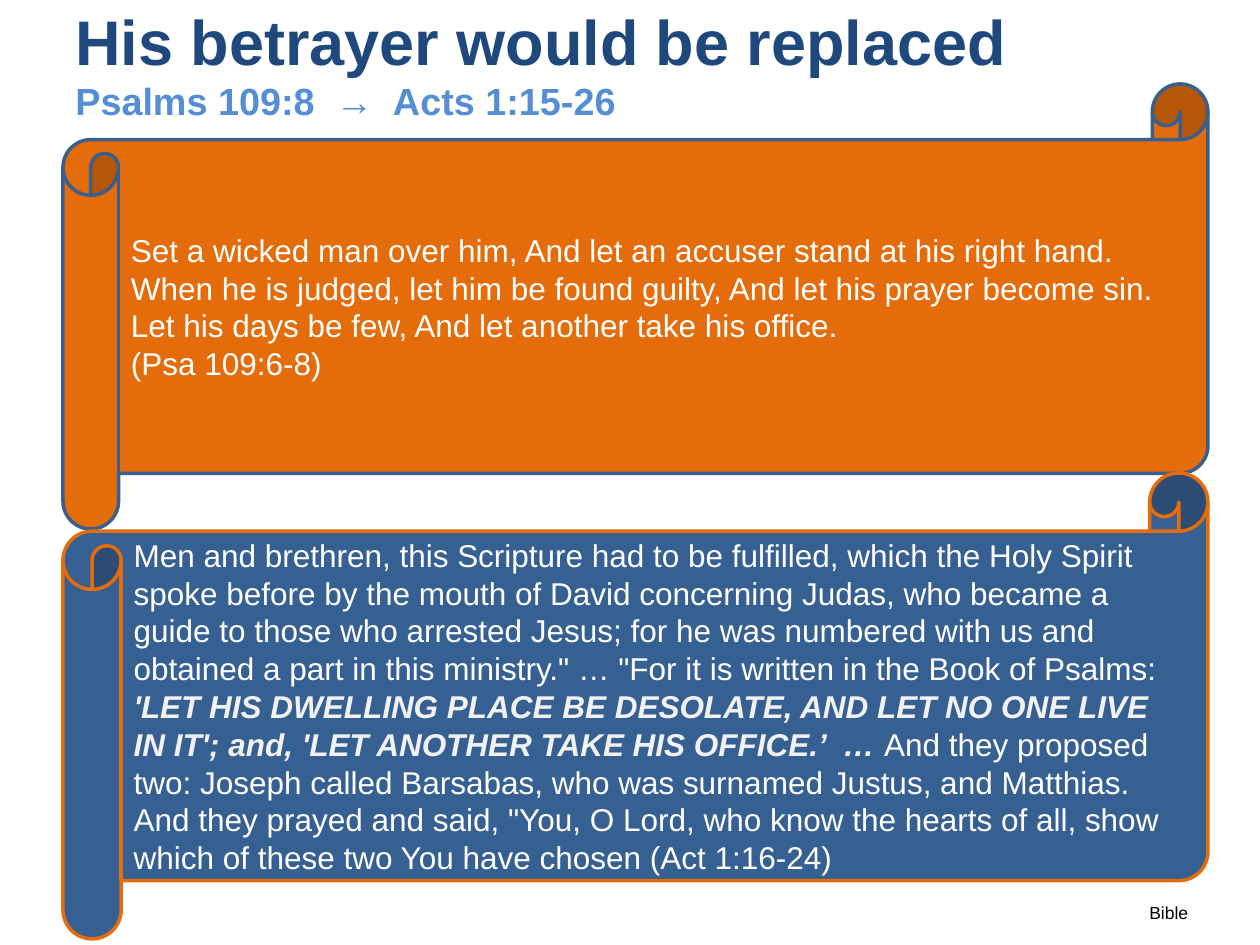
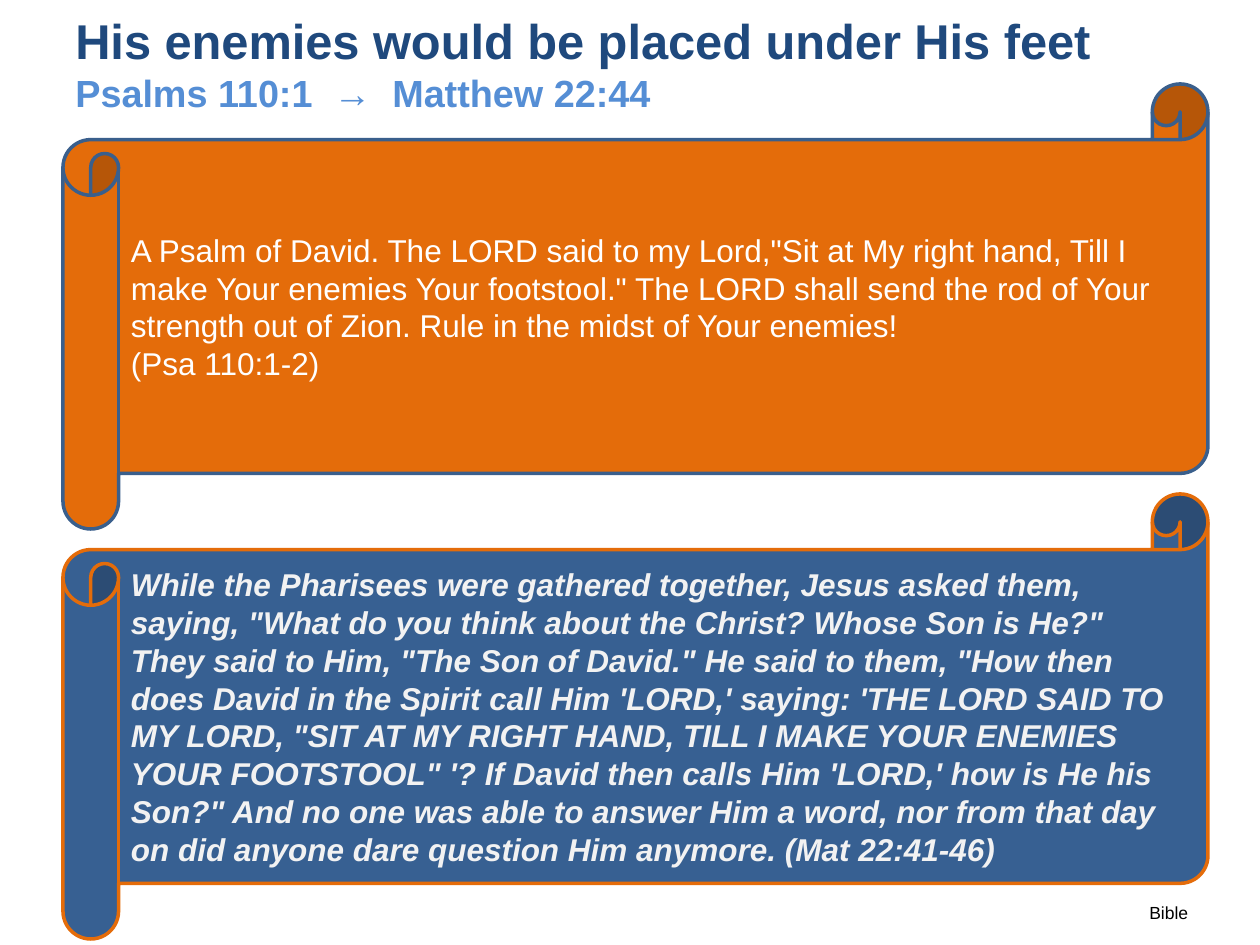
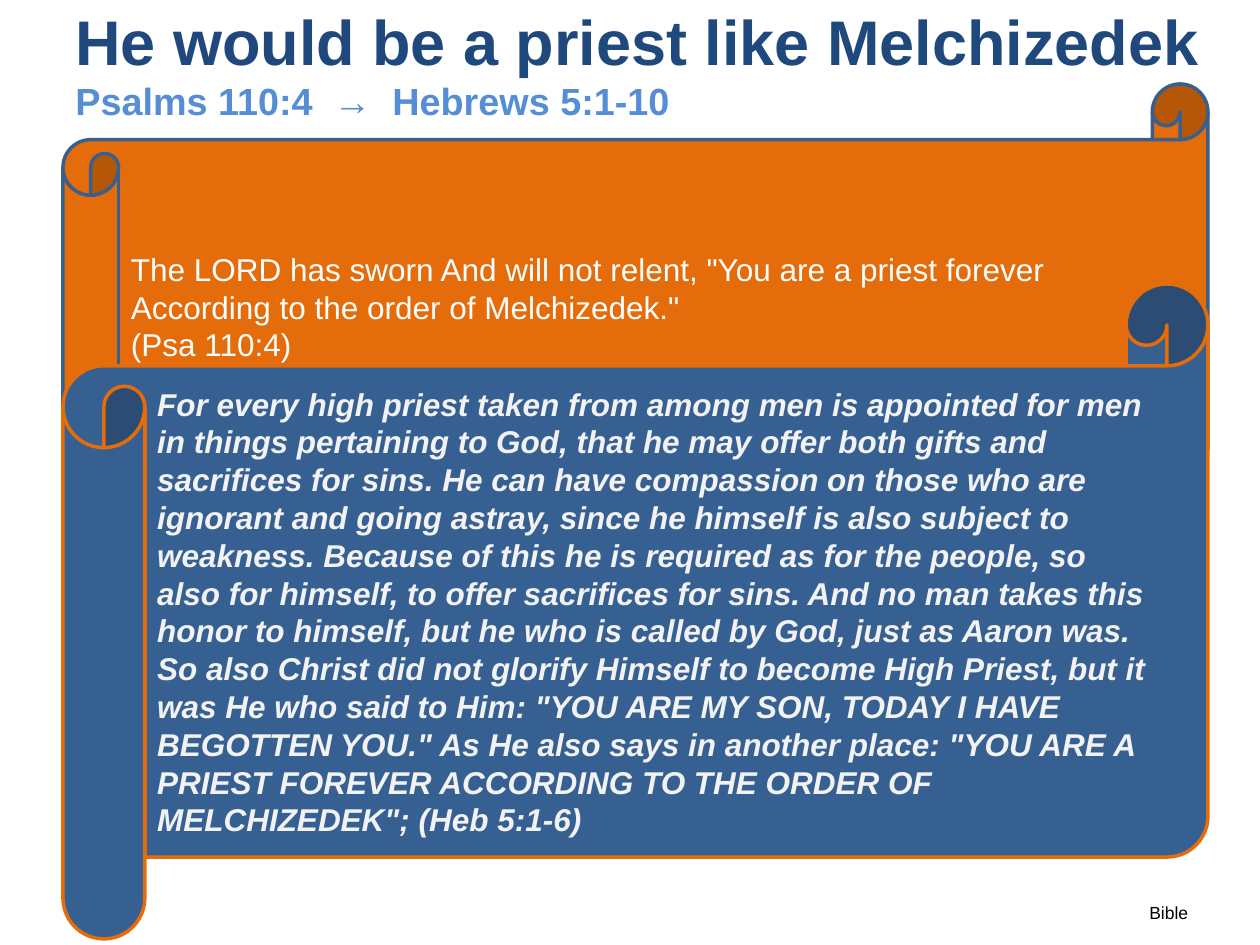
from pptx import Presentation
from pptx.dml.color import RGBColor
from pptx.enum.shapes import MSO_SHAPE
from pptx.enum.text import MSO_ANCHOR, PP_ALIGN
from pptx.util import Emu, Pt

# Shared look
NAVY, SKY, BLACK = "1F497D", "558ED5", "000000"
ORANGE, BLUE, EDGE = "E46C0A", "376092", "3A5F8C"
WHITE, PALE = "FFFFFF", "F2F2F2"
LEFT, WIDE, BASE = 63, 1145, 939


def color(code):
    return RGBColor.from_string(code)


def px(*sizes):
    return [Emu(round(size * 914400 / 126)) for size in sizes]


# Each slide: title, title size, title width, verses, Psalm text,
# top of the lower scroll, its runs as (text, stressed)
slides = [
    ("His betrayer would be replaced", 36, 1134,
     "Psalms 109:8  →  Acts 1:15-26",
     ["Set a wicked man over him, And let an accuser stand at his right hand. "
      "When he is judged, let him be found guilty, And let his prayer become sin. "
      "Let his days be few, And let another take his office.",
      "(Psa 109:6-8)"],
     473,
     [("Men and brethren, this Scripture had to be fulfilled, which the Holy "
       "Spirit spoke before by the mouth of David concerning Judas, who became a "
       "guide to those who arrested Jesus; for he was numbered with us and "
       "obtained a part in this ministry.\" … \"For it is written in the Book of "
       "Psalms: ", False),
      ("'LET HIS DWELLING PLACE BE DESOLATE, AND LET NO ONE LIVE IN IT'; and, "
       "'LET ANOTHER TAKE HIS OFFICE.’  … ", True),
      ("And they proposed two: Joseph called Barsabas, who was surnamed Justus, "
       "and Matthias. And they prayed and said, \"You, O Lord, who know the "
       "hearts of all, show which of these two You have chosen (Act 1:16-24)",
       False)]),
    ("His enemies would be placed under His feet", 27.9, 1187,
     "Psalms 110:1  →  Matthew 22:44",
     ["A Psalm of David. The LORD said to my Lord,\"Sit at My right hand, Till I "
      "make Your enemies Your footstool.\" The LORD shall send the rod of Your "
      "strength out of Zion. Rule in the midst of Your enemies!",
      "(Psa 110:1-2)"],
     494,
     [("While the Pharisees were gathered together, Jesus asked them, saying, "
       "\"What do you think about the Christ? Whose Son is He?\" They said to "
       "Him, \"The Son of David.\" He said to them, \"How then does David in the "
       "Spirit call Him 'LORD,' saying: 'THE LORD SAID TO MY LORD, \"SIT AT MY "
       "RIGHT HAND, TILL I MAKE YOUR ENEMIES YOUR FOOTSTOOL\" '? If David then "
       "calls Him 'LORD,' how is He his Son?\" And no one was able to answer Him "
       "a word, nor from that day on did anyone dare question Him anymore. "
       "(Mat 22:41-46)", True)]),
    ("He would be a priest like Melchizedek", 36, 1176,
     "Psalms 110:4  →  Hebrews 5:1-10",
     ["The LORD has sworn And will not relent, \"You are a priest forever "
      "According to the order of Melchizedek.\"",
      "(Psa 110:4)"],
     284,
     [("For every high priest taken from among men is appointed for men in things "
       "pertaining to God, that he may offer both gifts and sacrifices for sins. "
       "He can have compassion on those who are ignorant and going astray, since "
       "he himself is also subject to weakness. Because of this he is required as "
       "for the people, so also for himself, to offer sacrifices for sins. And no "
       "man takes this honor to himself, but he who is called by God, just as "
       "Aaron was. So also Christ did not glorify Himself to become High Priest, "
       "but it was He who said to Him: \"YOU ARE MY SON, TODAY I HAVE BEGOTTEN "
       "YOU.\" As He also says in another place: \"YOU ARE A PRIEST FOREVER "
       "ACCORDING TO THE ORDER OF MELCHIZEDEK\"; (Heb 5:1-6)", True)]),
]

deck = Presentation()
deck.slide_width, deck.slide_height = px(1260, 945)

for title, size, width, verses, psalm, top, quote in slides:
    slide = deck.slides.add_slide(deck.slide_layouts[6])

    # Title with the verses below it
    frame = slide.shapes.add_textbox(*px(LEFT, 0, width, 126)).text_frame
    frame.word_wrap = True
    frame.vertical_anchor = MSO_ANCHOR.MIDDLE
    para = frame.paragraphs[0]
    para.font.name, para.font.bold = "Arial", True
    for text, points, ink in [(title, size, NAVY), (verses, 21.6, SKY)]:
        if para.runs:
            para.add_line_break()
        run = para.add_run()
        run.text = text
        run.font.size = Pt(points)
        run.font.color.rgb = color(ink)

    # Psalm scroll, then the scroll that fulfils it
    psalm_parts = [[(line, False)] for line in psalm]
    for start, height, fill, edge, parts in [
            (84, 445, ORANGE, EDGE, psalm_parts),
            (top, BASE - top, BLUE, ORANGE, [quote])]:
        scroll = slide.shapes.add_shape(
            MSO_SHAPE.HORIZONTAL_SCROLL, *px(LEFT, start, WIDE, height))
        scroll.shadow.inherit = False
        scroll.fill.solid()
        scroll.fill.fore_color.rgb = color(fill)
        scroll.line.color.rgb = color(edge)
        scroll.line.width = Pt(2)
        frame = scroll.text_frame
        frame.word_wrap = True
        frame.vertical_anchor = MSO_ANCHOR.MIDDLE
        for index, runs in enumerate(parts):
            para = frame.add_paragraph() if index else frame.paragraphs[0]
            para.alignment = PP_ALIGN.LEFT
            para.font.name, para.font.size = "Arial", Pt(18)
            for text, stress in runs:
                run = para.add_run()
                run.text = text
                run.font.bold = run.font.italic = stress
                run.font.color.rgb = color(PALE if stress else WHITE)

    # Bible version
    frame = slide.shapes.add_textbox(*px(1137, 896, 71, 34)).text_frame
    frame.word_wrap = False
    para = frame.paragraphs[0]
    para.text = "Bible"
    para.font.name, para.font.size = "Arial", Pt(10)
    para.font.color.rgb = color(BLACK)

deck.save("out.pptx")
